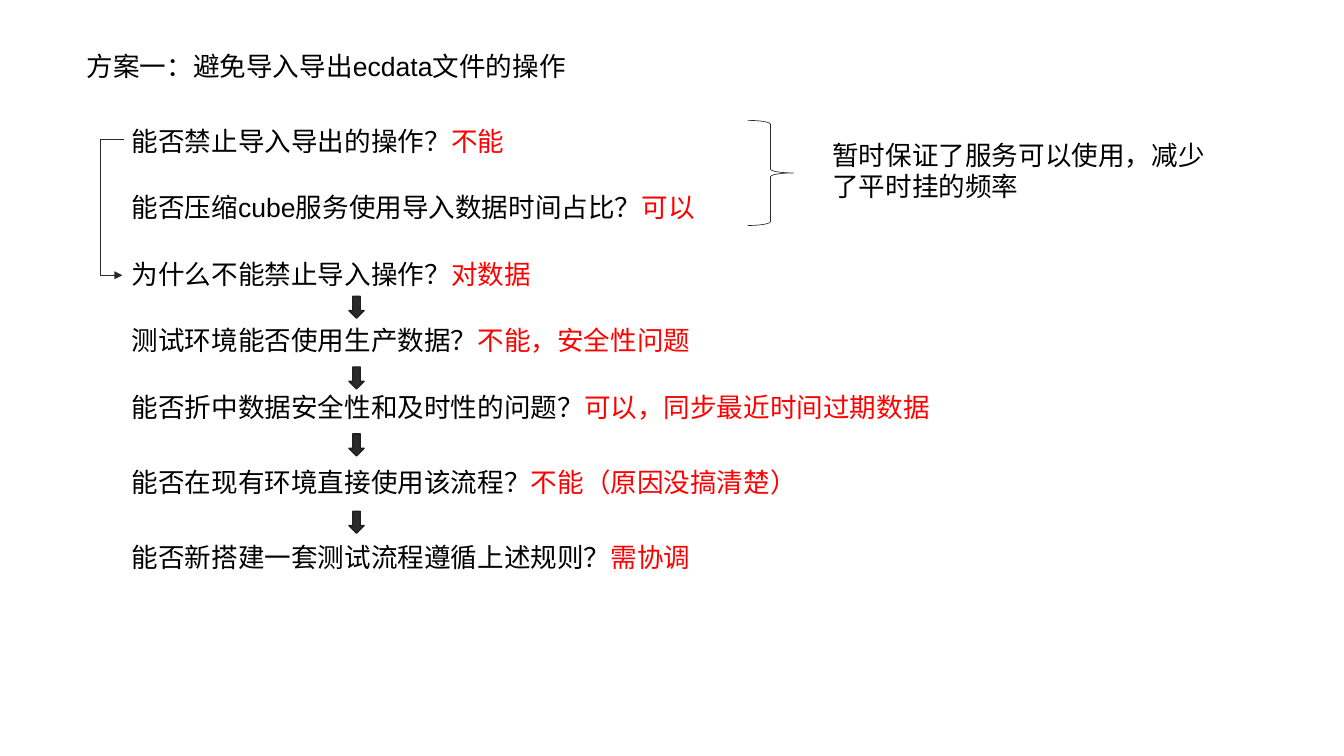
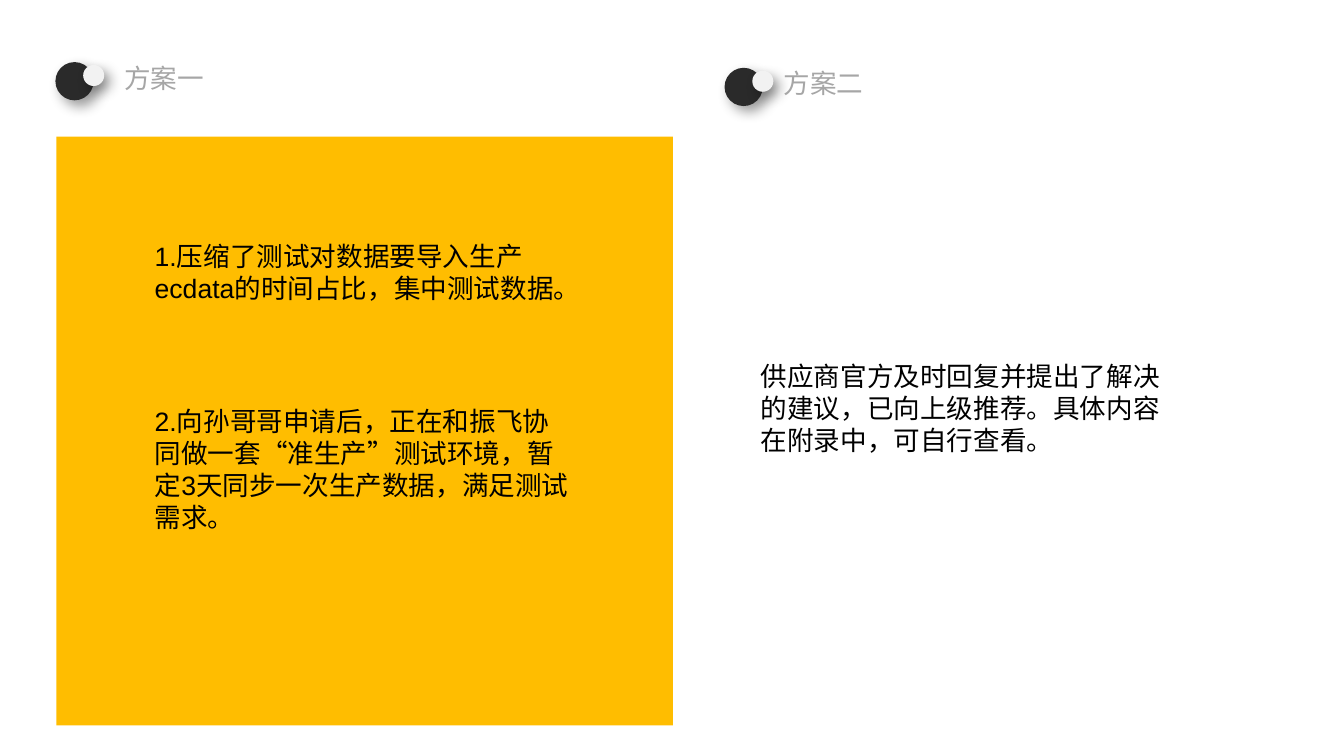
from lxml import etree
from pptx import Presentation
from pptx.dml.color import RGBColor
from pptx.enum.lang import MSO_LANGUAGE_ID
from pptx.enum.shapes import MSO_CONNECTOR, MSO_SHAPE
from pptx.oxml import parse_xml
from pptx.oxml.ns import nsdecls, qn
from pptx.util import Inches, Pt

ELBOW = MSO_CONNECTOR.ELBOW
BRACE = MSO_SHAPE.RIGHT_BRACE
DOWN_ARROW = MSO_SHAPE.DOWN_ARROW
RECT = MSO_SHAPE.RECTANGLE
OVAL = MSO_SHAPE.OVAL
CHINESE = MSO_LANGUAGE_ID.SIMPLIFIED_CHINESE

FONT = "Arial"
BLACK = "000000"
RED = "FF0000"
GREY = "A6A6A6"
DARK = "2A2A2A"
EDGE = "1F1F1F"
LIGHT = "F2F2F2"
YELLOW = "FFBD00"

SHADOW = (
    f'<a:effectLst {nsdecls("a")}>'
    '<a:outerShdw blurRad="127000" dist="76200" dir="2700000" algn="tl" rotWithShape="0">'
    '<a:srgbClr val="000000"><a:alpha val="40000"/></a:srgbClr>'
    '</a:outerShdw></a:effectLst>'
)


def add_text(s, x, y, w, h, text, color=BLACK, answer=""):
    tf = s.shapes.add_textbox(Inches(x), Inches(y), Inches(w), Inches(h)).text_frame
    tf.word_wrap = True
    p = tf.paragraphs[0]
    p.text = text
    p.space_after = Pt(6)
    if answer:
        p.add_run().text = answer
    for r, c in zip(p.runs, (color, RED)):
        r.font.name = FONT
        r.font.size = Pt(20)
        r.font.language_id = CHINESE
        r.font.color.rgb = RGBColor.from_string(c)


def add_shape(s, kind, x, y, w, h, fill=None, line=None, line_width=1):
    sp = s.shapes.add_shape(kind, Inches(x), Inches(y), Inches(w), Inches(h))
    sp.shadow.inherit = False
    if fill:
        sp.fill.solid()
        sp.fill.fore_color.rgb = RGBColor.from_string(fill)
    else:
        sp.fill.background()
    if line:
        sp.line.color.rgb = RGBColor.from_string(line)
        sp.line.width = Pt(line_width)
    else:
        sp.line.fill.background()
    return sp


prs = Presentation()
prs.slide_width = Inches(14.06)
prs.slide_height = Inches(7.91)
blank = prs.slide_layouts[6]

s = prs.slides.add_slide(blank)
add_text(s, 0.81, 0.47, 6.53, 0.4, "方案一：避免导入导出ecdata文件的操作")

questions = [
    (1.26, "能否禁止导入导出的操作？", "不能"),
    (1.95, "能否压缩cube服务使用导入数据时间占比？", "可以"),
    (2.65, "为什么不能禁止导入操作？", "对数据"),
    (3.34, "测试环境能否使用生产数据？", "不能，安全性问题"),
    (4.04, "能否折中数据安全性和及时性的问题？", "可以，同步最近时间过期数据"),
    (4.83, "能否在现有环境直接使用该流程？", "不能（原因没搞清楚）"),
    (5.61, "能否新搭建一套测试流程遵循上述规则？", "需协调"),
]
for y, question, answer in questions:
    add_text(s, 1.28, y, 9.2, 0.4, question, answer=answer)

add_shape(s, BRACE, 7.82, 1.26, 0.48, 1.1, line=DARK, line_width=0.5)
add_text(s, 8.61, 1.4, 4.17, 0.4, "暂时保证了服务可以使用，减少了平时挂的频率")

link = s.shapes.add_connector(ELBOW, Inches(1.28), Inches(2.88), Inches(1.3), Inches(1.46))
link.line.color.rgb = RGBColor.from_string(DARK)
link.line.width = Pt(0.5)
link.rotation = 180
spPr = link._element.spPr
spPr.find(qn("a:xfrm")).set("rot", "10800000")
guides = spPr.find(qn("a:prstGeom")).get_or_add_avLst()
etree.SubElement(guides, qn("a:gd"), name="adj1", fmla="val 1250000")
etree.SubElement(link.line._get_or_add_ln(), qn("a:tailEnd"), type="triangle")
etree.SubElement(spPr, qn("a:effectLst"))

for y in (3.1, 3.84, 4.54, 5.35):
    add_shape(s, DOWN_ARROW, 3.65, y, 0.16, 0.23, DARK, EDGE)

s = prs.slides.add_slide(blank)
add_shape(s, RECT, 0.59, 1.43, 6.45, 6.16, YELLOW)

headings = [
    (0.58, 0.65, 1.2, 0.6, "方案一"),
    (7.58, 0.71, 8.1, 0.65, "方案二"),
]
for x, y, text_x, text_y, heading in headings:
    for dx, dy, size, fill in ((0, 0, 0.4, DARK), (0.29, 0.03, 0.22, LIGHT)):
        sp = add_shape(s, OVAL, x + dx, y + dy, size, size, fill)
        spPr = sp._element.spPr
        spPr.replace(spPr.find(qn("a:effectLst")), parse_xml(SHADOW))
    add_text(s, text_x, text_y, 3.35, 0.4, heading, GREY)

notes = [
    (1.52, 2.46, 0.79, "1.压缩了测试对数据要导入生产ecdata的时间占比，集中测试数据。"),
    (1.52, 4.19, 1.69, "2.向孙哥哥申请后，正在和振飞协同做一套“准生产”测试环境，暂定3天同步一次生产数据，满足测试需求。"),
    (7.86, 3.72, 0.79, "供应商官方及时回复并提出了解决的建议，已向上级推荐。具体内容在附录中，可自行查看。"),
]
for x, y, h, note in notes:
    add_text(s, x, y, 4.57, h, note)

prs.save("out.pptx")
